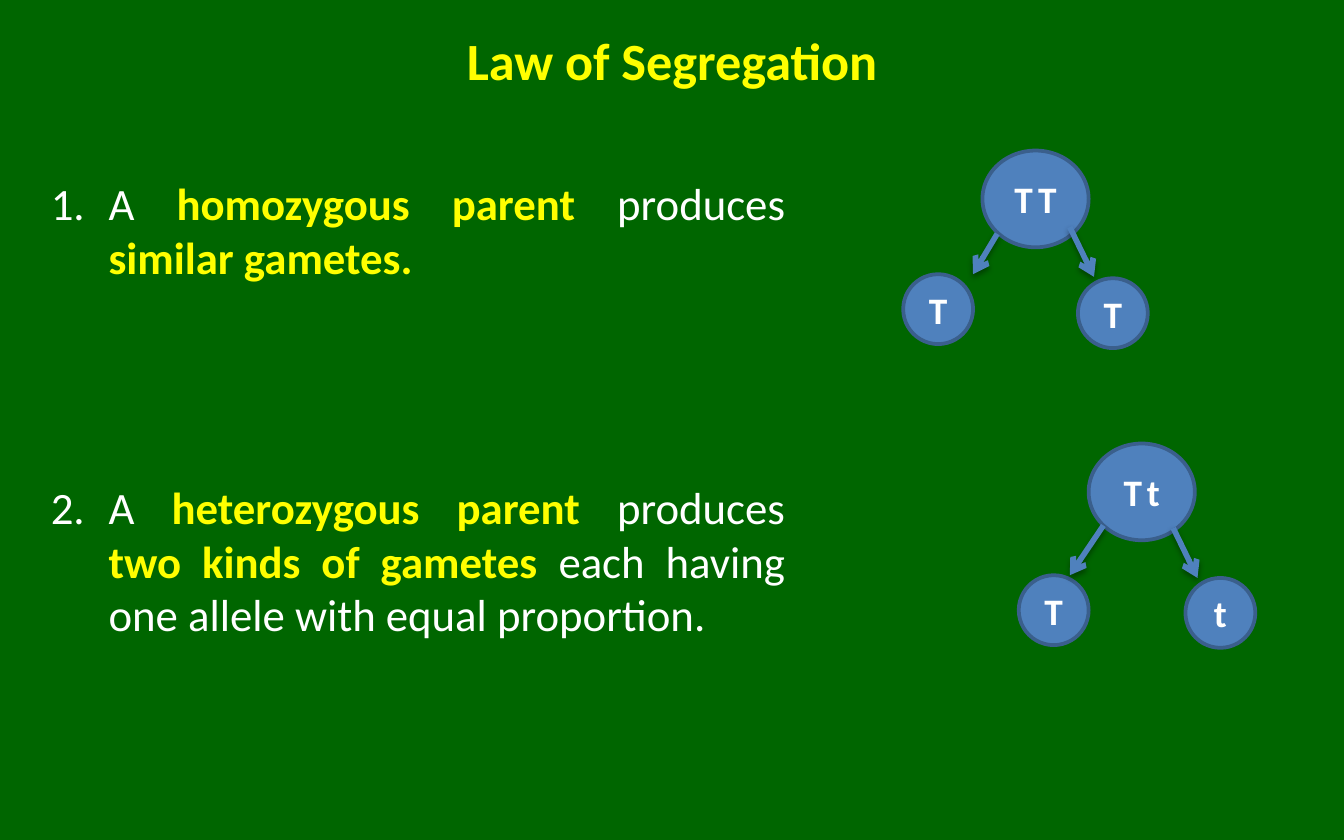
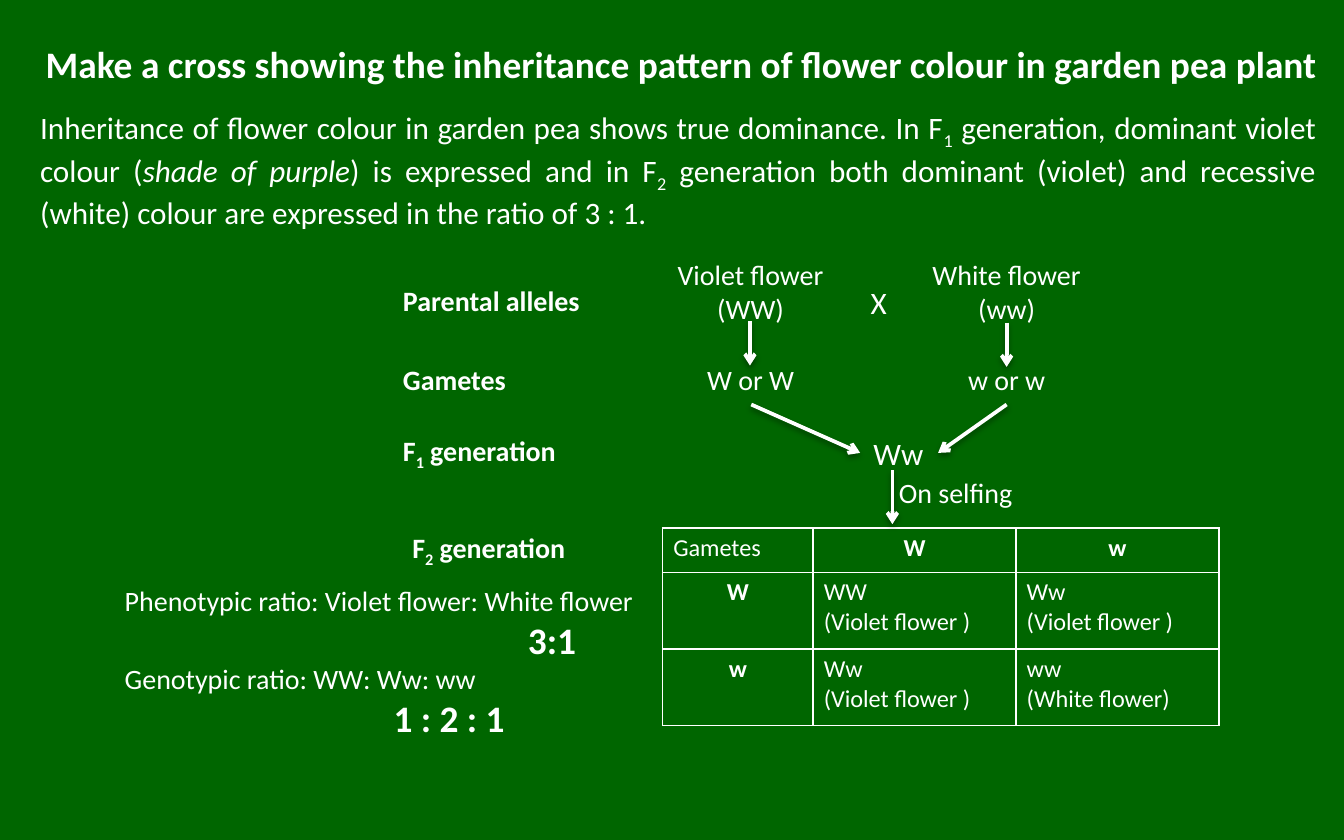
from lxml import etree
from pptx import Presentation
from pptx.dml.color import RGBColor
from pptx.enum import shapes, text
from pptx.oxml import ns
from pptx.util import Inches, Pt

GREEN = RGBColor(0x00, 0x66, 0x00)
YELLOW = RGBColor(0xFF, 0xFF, 0x00)
WHITE = RGBColor(0xFF, 0xFF, 0xFF)
BLUE = RGBColor(0x4F, 0x81, 0xBD)
BLUE_EDGE = RGBColor(0x3A, 0x5F, 0x8C)
FONT = "Calibri"
LEFT, CENTER, JUSTIFY = (text.PP_ALIGN.LEFT, text.PP_ALIGN.CENTER,
                         text.PP_ALIGN.JUSTIFY)

KEY = {"bold": True, "color": YELLOW}
SUB = {"baseline": -25000}
ITALIC = {"italic": True}

LAW_TITLE = "Law of Segregation"
LAWS = [
    [("A ", {}), ("homozygous parent ", KEY), ("produces ", {}),
     ("similar gametes.", KEY)],
    [("A ", {}), ("heterozygous parent", KEY), (" produces ", {}),
     ("two kinds of gametes ", KEY),
     ("each having one allele with equal proportion.", {})],
]
LAW_GAP = 105
PARENT_SIZE = (0.79, 0.72)
GAMETE_SIZE = (0.52, 0.52)
PARENTS = [
    ("TT", (7.31, 1.12), [
        ("T", (6.72, 2.04), (7.42, 1.74), (7.24, 2.04)),
        ("T", (8.02, 2.07), (7.96, 1.69), (8.14, 2.06))]),
    ("Tt", (8.1, 3.3), [
        ("T", (7.58, 4.28), (8.21, 3.91), (7.96, 4.28)),
        ("t", (8.82, 4.3), (8.73, 3.93), (8.91, 4.3))]),
]

CROSS_TITLE = ("Make a cross showing the inheritance pattern "
               "of flower colour in garden pea plant")
INTRO = [
    ("Inheritance of flower colour in garden pea shows true dominance. In F", {}),
    ("1", SUB),
    (" generation, dominant violet colour (", {}),
    ("shade of purple", ITALIC),
    (") is expressed and in F", {}),
    ("2", SUB),
    (" generation both dominant (violet) and recessive (white) colour "
     "are expressed in the ratio of 3 : 1.", {}),
]
STAGES = [
    ((2.9, 2.06), [("Parental alleles", {})]),
    ((2.9, 2.65), [("Gametes", {})]),
    ((2.9, 3.18), [("F", {}), ("1", SUB), (" generation", {})]),
    ((2.97, 3.9), [("F", {}), ("2", SUB), (" generation", {})]),
]
FLOWERS = [
    (4.8, 1.57, ["Violet flower", "(WW)"], "W or W"),
    (6.77, 1.44, ["White flower", "(ww)"], "w or w"),
]
CROSS_MARKS = [
    ("X", (6.38, 2.06, 0.32, 0.38), 16.7),
    ("Ww", (6.4, 3.18, 0.58, 0.38), 16.7),
    ("On selfing", (6.59, 3.49, 1.06, 0.35), 15),
]
CROSS_ARROWS = [
    ((5.58, 2.39), (5.58, 2.72)),
    ((7.49, 2.4), (7.49, 2.73)),
    ((6.64, 3.5), (6.64, 3.9)),
    ((7.49, 3.01), (6.98, 3.37)),
    ((5.59, 3.01), (6.4, 3.37)),
]
RATIOS = [
    ("Phenotypic ratio: Violet flower: White flower", "3:1", 3),
    ("Genotypic ratio: WW: Ww: ww", "1 : 2 : 1", 2),
]
PUNNETT = [
    ["Gametes", "W", "w"],
    ["W", "WW\n(Violet flower )", "Ww\n(Violet flower )"],
    ["w", "Ww\n(Violet flower )", "ww\n(White flower)"],
]
PUNNETT_COLS = [1.12, 1.51, 1.51]
PUNNETT_ROWS = [0.33, 0.57, 0.57]


def set_all(target, values):
    for name, value in values.items():
        setattr(target, name, value)


def add_xml(parent, tag, **attributes):
    return etree.SubElement(parent, ns.qn(tag), attributes)


def write(paragraph, runs, size, align=LEFT, bold=False):
    paragraph.alignment = align
    if isinstance(runs, str):
        runs = [(runs, {})]
    written = []
    for words, style in runs:
        run = paragraph.add_run()
        run.text = words
        set_all(run.font, {"name": FONT, "size": Pt(size),
                           "bold": style.get("bold", bold),
                           "italic": style.get("italic", False)})
        run.font.color.rgb = style.get("color", WHITE)
        if "baseline" in style:
            run.font._element.set("baseline", str(style["baseline"]))
        written.append(run)
    return written


def paragraphs(frame, count):
    return [frame.paragraphs[0]] + [frame.add_paragraph() for _ in range(count - 1)]


def add_text(slide, box, lines, size, align=LEFT, bold=False, wrap=True):
    frame = slide.shapes.add_textbox(*map(Inches, box)).text_frame
    set_all(frame, {"word_wrap": wrap,
                    "auto_size": text.MSO_AUTO_SIZE.SHAPE_TO_FIT_TEXT})
    for paragraph, runs in zip(paragraphs(frame, len(lines)), lines):
        write(paragraph, runs, size, align, bold)
    return frame


def add_titled_slide(deck, title, box, size, color):
    slide = deck.slides.add_slide(deck.slide_layouts[5])
    heading = slide.shapes.title
    set_all(heading, dict(zip(("left", "top", "width", "height"), map(Inches, box))))
    set_all(heading.text_frame, {"word_wrap": True,
                                 "auto_size": text.MSO_AUTO_SIZE.NONE,
                                 "vertical_anchor": text.MSO_ANCHOR.MIDDLE})
    write(heading.text_frame.paragraphs[0], [(title, {"color": color})],
          size, CENTER, bold=True)
    return slide


def add_arrow(slide, start, end, color, width):
    arrow = slide.shapes.add_connector(
        shapes.MSO_CONNECTOR.STRAIGHT, *map(Inches, start + end))
    arrow.line.color.rgb = color
    arrow.line.width = Pt(width)
    add_xml(arrow.line._get_or_add_ln(), "a:tailEnd", type="arrow")
    effects = add_xml(arrow._element.spPr, "a:effectLst")
    shadow = add_xml(effects, "a:outerShdw", blurRad=str(Pt(3.1)),
                     dist=str(Pt(1.7)), dir="5400000", rotWithShape="0")
    shade = add_xml(shadow, "a:srgbClr", val="000000")
    add_xml(shade, "a:alpha", val="36000")


def add_genotype(slide, alleles, place, size):
    circle = slide.shapes.add_shape(shapes.MSO_SHAPE.OVAL, *map(Inches, place + size))
    circle.shadow.inherit = False
    circle.fill.solid()
    circle.fill.fore_color.rgb = BLUE
    circle.line.color.rgb = BLUE_EDGE
    circle.line.width = Pt(2)
    set_all(circle.text_frame, {"word_wrap": False,
                                "vertical_anchor": text.MSO_ANCHOR.MIDDLE})
    for run in write(circle.text_frame.paragraphs[0], alleles, 20, CENTER, bold=True):
        run.font._element.set("spc", "250")


def add_punnett(slide):
    table = slide.shapes.add_table(
        len(PUNNETT), len(PUNNETT[0]), Inches(4.93), Inches(3.93),
        Inches(sum(PUNNETT_COLS)), Inches(sum(PUNNETT_ROWS))).table
    set_all(table, {"first_row": False, "horz_banding": False})
    for column, width in zip(table.columns, PUNNETT_COLS):
        column.width = Inches(width)
    for row, height in zip(table.rows, PUNNETT_ROWS):
        row.height = Inches(height)
    for r, genotypes in enumerate(PUNNETT):
        for c, genotype in enumerate(genotypes):
            cell = table.cell(r, c)
            set_all(cell, {"margin_left": Inches(0.08), "margin_right": Inches(0.08),
                           "margin_top": Inches(0.04), "margin_bottom": Inches(0.04)})
            gamete = (r == 0) != (c == 0)
            lines = genotype.split("\n")
            for paragraph, line in zip(paragraphs(cell.text_frame, len(lines)), lines):
                write(paragraph, line, 13, CENTER if gamete else LEFT, gamete)
            properties = cell._tc.get_or_add_tcPr()
            for side in "LRTB":
                border = add_xml(properties, "a:ln" + side, w=str(Pt(1)))
                add_xml(add_xml(border, "a:solidFill"), "a:srgbClr", val=str(WHITE))
            cell.fill.background()


def build_law(deck):
    slide = add_titled_slide(deck, LAW_TITLE, (0.5, 0.05, 9, 0.79), 28, YELLOW)
    frame = slide.shapes.add_textbox(*map(Inches, (0.28, 1.26, 5.66, 4.12))).text_frame
    frame.word_wrap = True
    for i, (paragraph, law) in enumerate(zip(paragraphs(frame, len(LAWS)), LAWS)):
        properties = paragraph._p.get_or_add_pPr()
        properties.set("marL", str(Inches(0.43)))
        properties.set("indent", str(Inches(-0.43)))
        add_xml(properties, "a:buFont", typeface="+mj-lt")
        add_xml(properties, "a:buAutoNum", type="arabicPeriod")
        if i:
            paragraph.space_before = Pt(LAW_GAP)
        write(paragraph, law, 24, JUSTIFY)
    for parent, place, gametes in PARENTS:
        add_genotype(slide, parent, place, PARENT_SIZE)
        for allele, spot, start, end in gametes:
            add_genotype(slide, allele, spot, GAMETE_SIZE)
            add_arrow(slide, start, end, BLUE, 3)


def build_cross(deck):
    slide = add_titled_slide(deck, CROSS_TITLE, (0.13, 0.2, 9.88, 0.54), 20, WHITE)
    add_text(slide, (0.2, 0.76, 9.69, 0.94), [INTRO], 16.7, JUSTIFY)
    for place, stage in STAGES:
        add_text(slide, place + (1.57, 0.35), [stage], 15, bold=True)
    for left, width, flower, gametes in FLOWERS:
        add_text(slide, (left, 1.87, width, 0.61), flower, 15, CENTER)
        add_text(slide, (left, 2.65, width, 0.35), [gametes], 15, CENTER)
    for mark, box, size in CROSS_MARKS:
        add_text(slide, box, [mark], size, wrap=False)
    add_punnett(slide)
    for start, end in CROSS_ARROWS:
        add_arrow(slide, start, end, WHITE, 2)
    lines = [line for label, ratio, _ in RATIOS
             for line in (label, [(ratio, {"bold": True})])]
    frame = add_text(slide, (0.83, 4.29, 4.04, 1.28), lines, 15)
    for paragraph, (_, _, indent) in zip(frame.paragraphs[1::2], RATIOS):
        paragraph._p.get_or_add_pPr().set("marL", str(Inches(indent)))
        paragraph.runs[0].font.size = Pt(20)


def main():
    deck = Presentation()
    set_all(deck, {"slide_width": Inches(10), "slide_height": Inches(6.25)})
    backdrop = deck.slide_master.background.fill
    backdrop.solid()
    backdrop.fore_color.rgb = GREEN
    build_law(deck)
    build_cross(deck)
    deck.save("out.pptx")


if __name__ == "__main__":
    main()
